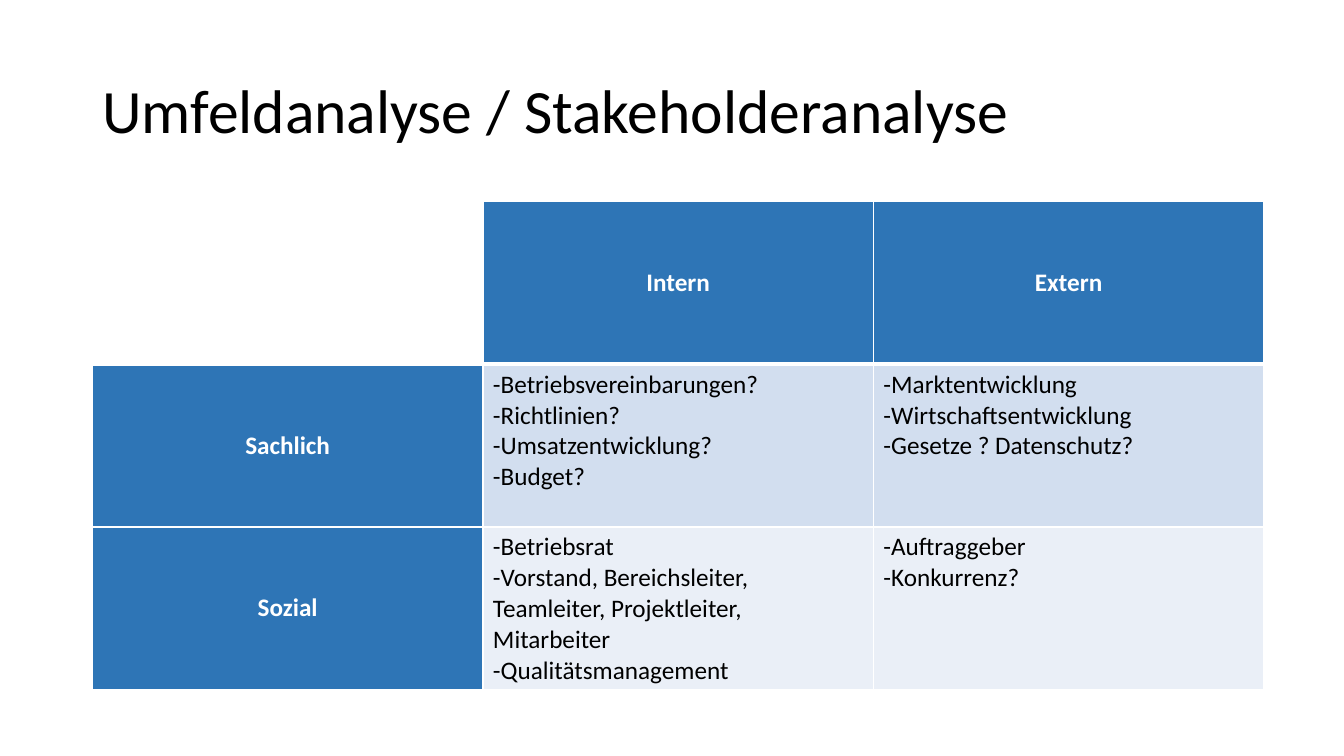
from lxml.etree import SubElement
from pptx import Presentation
from pptx.dml.color import RGBColor
from pptx.enum.text import MSO_ANCHOR, PP_ALIGN
from pptx.oxml.ns import qn
from pptx.util import Cm, Pt

FONT = "Calibri"
WHITE, BLACK, BLUE = "FFFFFF", "000000", "2E75B6"
ROW_FILLS = [WHITE, "D2DEEF", "EAEFF7"]
COLUMN_WIDTH, ROW_HEIGHT = 9.84, 4.1

STAKEHOLDERS = [
    [[], ["Intern"], ["Extern"]],
    [
        ["Sachlich"],
        ["-Betriebsvereinbarungen?", "-Richtlinien?", "-Umsatzentwicklung?", "-Budget?"],
        ["-Marktentwicklung", "-Wirtschaftsentwicklung", "-Gesetze ? Datenschutz?"],
    ],
    [
        ["Sozial"],
        [
            "-Betriebsrat",
            "-Vorstand, Bereichsleiter, Teamleiter, Projektleiter, Mitarbeiter",
            "-Qualitätsmanagement",
        ],
        ["-Auftraggeber", "-Konkurrenz?"],
    ],
]


def color(hex_value):
    return RGBColor.from_string(hex_value)


def style_font(font, size, hex_value, bold=False):
    font.name = FONT
    font.size = Pt(size)
    font.bold = bold
    font.color.rgb = color(hex_value)


def add_title(slide, text):
    shape = slide.shapes.add_textbox(Cm(2.33), Cm(1.01), Cm(29.21), Cm(3.68))
    frame = shape.text_frame
    frame.word_wrap = True
    frame.vertical_anchor = MSO_ANCHOR.MIDDLE
    paragraph = frame.paragraphs[0]
    paragraph.text = text
    paragraph.line_spacing = 0.9
    style_font(paragraph.font, 44, BLACK)


def add_border(cell, side, width):
    properties = cell._tc.get_or_add_tcPr()
    line = SubElement(properties, qn(f"a:{side}"), w=str(Pt(width)))
    fill = SubElement(line, qn("a:solidFill"))
    SubElement(fill, qn("a:srgbClr"), val=WHITE)


def fill_cell(cell, lines, row, column):
    is_header = bool(lines) and (row == 0 or column == 0)

    # Borders: a thick rule separates the header row from the body
    widths = {"lnL": 1, "lnR": 1, "lnT": 3 if row == 1 else 1, "lnB": 3 if row == 0 else 1}
    for side, width in widths.items():
        add_border(cell, side, width)
    cell.fill.solid()
    cell.fill.fore_color.rgb = color(BLUE if is_header else ROW_FILLS[row])

    # Text
    cell.text = "\n".join(lines)
    cell.vertical_anchor = MSO_ANCHOR.MIDDLE if is_header else MSO_ANCHOR.TOP
    for paragraph in cell.text_frame.paragraphs:
        paragraph.alignment = PP_ALIGN.CENTER if is_header else PP_ALIGN.LEFT
        style_font(paragraph.font, 18, WHITE if is_header else BLACK, is_header)


def add_matrix(slide, rows):
    row_count, column_count = len(rows), len(rows[0])
    table = slide.shapes.add_table(
        row_count, column_count, Cm(2.33), Cm(5.08),
        Cm(COLUMN_WIDTH * column_count), Cm(ROW_HEIGHT * row_count),
    ).table
    for column in table.columns:
        column.width = Cm(COLUMN_WIDTH)
    for row_index, row in enumerate(rows):
        table.rows[row_index].height = Cm(ROW_HEIGHT)
        for column_index, lines in enumerate(row):
            fill_cell(table.cell(row_index, column_index), lines, row_index, column_index)


def main():
    presentation = Presentation()
    presentation.slide_width = Cm(33.87)
    presentation.slide_height = Cm(19.05)
    slide = presentation.slides.add_slide(presentation.slide_layouts[6])
    add_title(slide, "Umfeldanalyse / Stakeholderanalyse")
    add_matrix(slide, STAKEHOLDERS)
    presentation.save("out.pptx")


if __name__ == "__main__":
    main()
